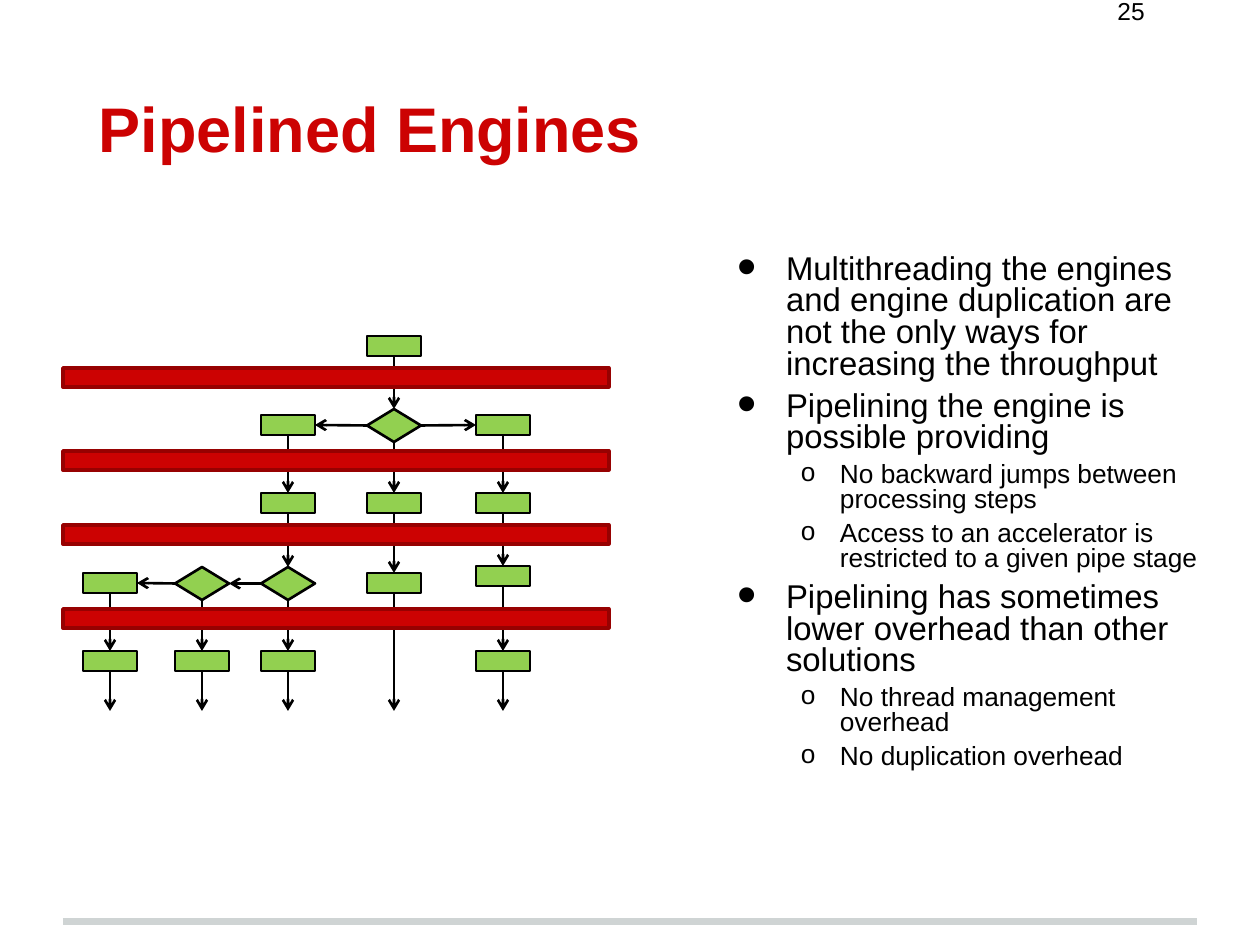
from lxml import etree
from pptx import Presentation
from pptx.dml.color import RGBColor
from pptx.enum.shapes import MSO_CONNECTOR, MSO_SHAPE
from pptx.enum.text import MSO_ANCHOR
from pptx.oxml.ns import qn
from pptx.util import Emu, Pt

PX = 914400 // 126
FONT = "Arial"
BLACK = RGBColor(0x00, 0x00, 0x00)
WHITE = RGBColor(0xFF, 0xFF, 0xFF)
RED = RGBColor(0xCC, 0x02, 0x02)
DARK_RED = RGBColor(0x97, 0x01, 0x01)
GREEN = RGBColor(0x92, 0xD0, 0x50)
GREY = RGBColor(0xCF, 0xD4, 0xD4)

TOP, LEFT, BOTTOM, RIGHT = range(4)
NODE_WIDTH, BOX_HEIGHT, DECISION_HEIGHT = 54, 20, 33
EXIT_Y = 711

COLUMNS = {"a": 110, "b": 202, "c": 288, "d": 394, "e": 503}
ROWS = {1: 346, 2: 425, 3: 503, 4: 583, 5: 661}
DECISIONS = ("d2", "b4", "c4")
BOXES = ("d1", "c2", "e2", "c3", "d3", "e3", "a4", "d4", "e4",
         "a5", "b5", "c5", "e5")
RAISED = {"e4": 7}
DOWN_LINKS = ("d1 d2", "c2 c3", "d2 d3", "e2 e3", "c3 c4", "d3 d4", "e3 e4",
              "a4 a5", "b4 b5", "c4 c5", "e4 e5")
LEFT_LINKS = ("d2 c2", "c4 b4", "b4 a4")
EXITS = ("a5", "b5", "c5", "d4", "e5")
STAGE_BARS = (368, 451, 525, 609)

BULLETS = (
    (0, "Multithreading the engines and engine duplication are not the only "
        "ways for increasing the throughput"),
    (0, "Pipelining the engine is possible providing"),
    (1, "No backward jumps between processing steps"),
    (1, "Access to an accelerator is restricted to a given pipe stage"),
    (0, "Pipelining has sometimes lower overhead than other solutions"),
    (1, "No thread management overhead"),
    (1, "No duplication overhead"),
)
# per level: font size, space before, left margin, hanging, character, size %
LEVELS = ((18.8, 6, 48, 48, "•", 167), (15, 4.8, 102, 39, "o", 100))


def px(*values):
    return [Emu(value * PX) for value in values]


def add_shape(slide, kind, box, fill, line, width):
    shape = slide.shapes.add_shape(kind, *px(*box))
    shape.shadow.inherit = False
    shape.fill.solid()
    shape.fill.fore_color.rgb = fill
    shape.line.color.rgb = line
    shape.line.width = Pt(width)
    return shape


def add_line(slide, start=(0, 0), end=(0, 0), color=BLACK, width=1.5, arrow=True):
    line = slide.shapes.add_connector(MSO_CONNECTOR.STRAIGHT, *px(*start, *end))
    line.line.color.rgb = color
    line.line.width = Pt(width)
    properties = line._element.spPr
    if arrow:
        outline = properties.find(qn("a:ln"))
        etree.SubElement(outline, qn("a:tailEnd"), type="arrow")
    etree.SubElement(properties, qn("a:effectLst"))
    return line


def add_text_frame(slide, box, inset=None):
    text_frame = slide.shapes.add_textbox(*px(*box)).text_frame
    text_frame.word_wrap = True
    if inset is not None:
        text_frame.margin_left = text_frame.margin_right = Emu(inset * PX)
        text_frame.margin_top = text_frame.margin_bottom = Emu(inset * PX)
    return text_frame


def write(paragraph, text, size, color=BLACK, bold=False):
    paragraph.text = text
    font = paragraph.runs[0].font
    font.name, font.size, font.bold = FONT, Pt(size), bold
    font.color.rgb = color


def set_bullet(paragraph, margin, hanging, character, percent):
    properties = paragraph._p.get_or_add_pPr()
    properties.set("marL", str(margin * PX))
    properties.set("indent", str(-hanging * PX))
    color = etree.SubElement(properties, qn("a:buClr"))
    etree.SubElement(color, qn("a:srgbClr"), val=str(BLACK))
    etree.SubElement(properties, qn("a:buSzPct"), val=str(percent * 1000))
    etree.SubElement(properties, qn("a:buFont"), typeface=FONT)
    etree.SubElement(properties, qn("a:buChar"), char=character)


def add_title(slide):
    text_frame = add_text_frame(slide, (54, 42, 1134, 136), 13)
    text_frame.vertical_anchor = MSO_ANCHOR.BOTTOM
    paragraph = text_frame.paragraphs[0]
    write(paragraph, "Pipelined Engines", 36, RED, True)
    paragraph._p.get_or_add_pPr().set("indent", str(32 * PX))


def add_bullets(slide):
    text_frame = add_text_frame(slide, (725, 242, 501, 577), 13)
    for index, (level, text) in enumerate(BULLETS):
        paragraph = text_frame.add_paragraph() if index else text_frame.paragraphs[0]
        size, space, *bullet = LEVELS[level]
        write(paragraph, text, size)
        paragraph.level = level
        paragraph.line_spacing = 0.8
        paragraph.space_before = Pt(space)
        set_bullet(paragraph, *bullet)


def add_node(slide, name):
    """Draw the node named by its column letter and row number."""
    decision = name in DECISIONS
    kind = MSO_SHAPE.FLOWCHART_DECISION if decision else MSO_SHAPE.RECTANGLE
    height = DECISION_HEIGHT if decision else BOX_HEIGHT
    left = COLUMNS[name[0]] - NODE_WIDTH // 2
    top = ROWS[int(name[1])] - RAISED.get(name, 0) - height // 2
    return add_shape(slide, kind, (left, top, NODE_WIDTH, height), GREEN, BLACK, 1.5)


def link(slide, nodes, pair, begin_site, end_site):
    begin, end = pair.split()
    line = add_line(slide)
    line.begin_connect(nodes[begin], begin_site)
    line.end_connect(nodes[end], end_site)


def add_pipeline(slide):
    add_shape(slide, MSO_SHAPE.RECTANGLE, (0, 294, 714, 431), WHITE, WHITE, 2)
    nodes = {name: add_node(slide, name) for name in DECISIONS + BOXES}
    for pair in DOWN_LINKS:
        link(slide, nodes, pair, BOTTOM, TOP)
    for pair in LEFT_LINKS:
        link(slide, nodes, pair, LEFT, RIGHT)
    link(slide, nodes, "d2 e2", RIGHT, LEFT)
    for name in EXITS:
        x = COLUMNS[name[0]]
        line = add_line(slide, (x, EXIT_Y), (x, EXIT_Y))
        line.begin_connect(nodes[name], BOTTOM)


def add_stage_bars(slide):
    for top in STAGE_BARS:
        add_shape(slide, MSO_SHAPE.RECTANGLE, (63, top, 546, 19), RED, DARK_RED, 2)


def main():
    presentation = Presentation()
    presentation.slide_width, presentation.slide_height = px(1260, 945)
    slide = presentation.slides.add_slide(presentation.slide_layouts[6])
    add_line(slide, (63, 922), (1197, 922), GREY, 4, arrow=False)
    add_title(slide)
    number_frame = add_text_frame(slide, (1105, -10, 147, 45))
    write(number_frame.paragraphs[0], "25", 14)
    add_pipeline(slide)
    add_bullets(slide)
    add_stage_bars(slide)
    presentation.save("out.pptx")


if __name__ == "__main__":
    main()
